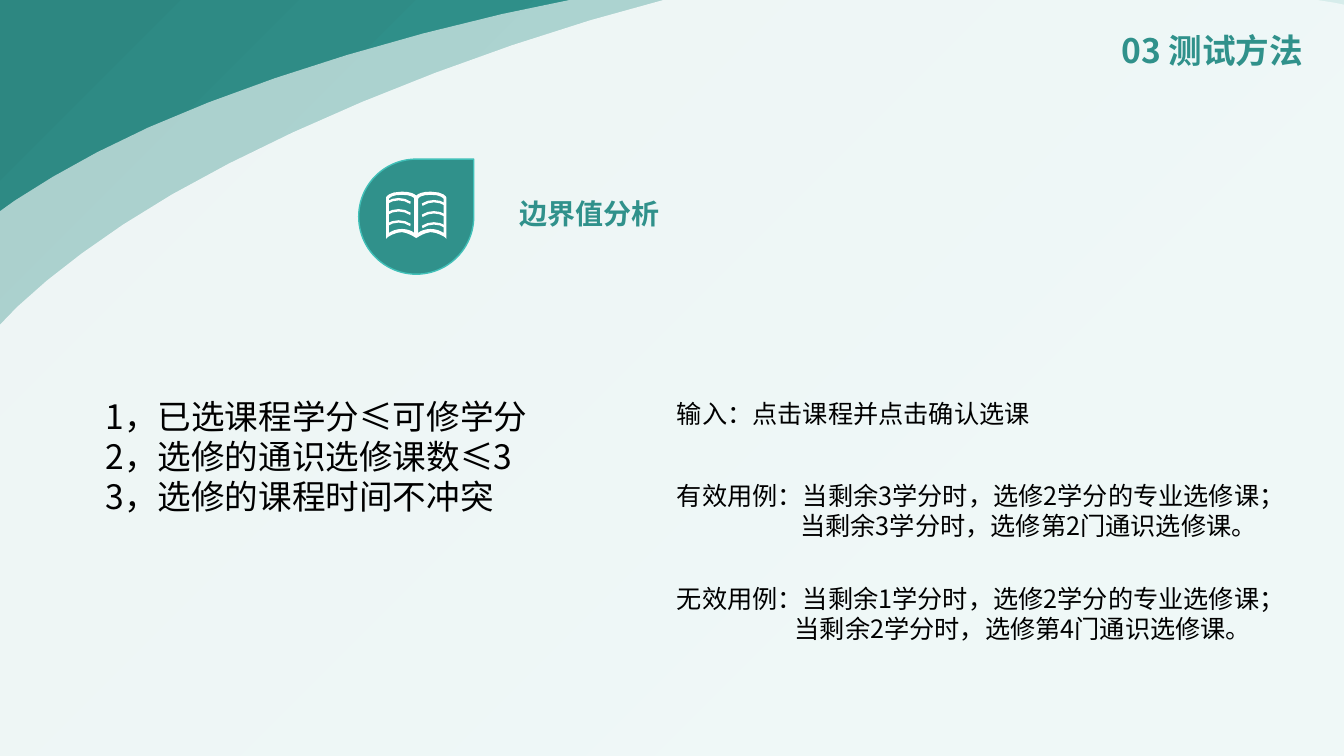
"""Build the boundary value analysis slide of a test methods deck."""
from dataclasses import dataclass
from typing import NamedTuple

from lxml import etree
from pptx import Presentation
from pptx import util as u
from pptx.dml.color import RGBColor
from pptx.enum import shapes, text
from pptx.oxml.ns import qn
from pptx.shapes.base import BaseShape
from pptx.slide import Slide

FONT = "Noto Sans CJK SC"
LINE_PITCH = 1.19
WIDTH, HEIGHT = 33.87, 19.05
WAVE_STEPS, ICON_STEPS = 10, 4
COLORS = {
    "teal": "30918B",
    "bright": "41C0B8",
    "light": "39ACA5",
    "deep": "2D8781",
    "white": "FFFFFF",
    "black": "000000",
}
GRADIENT = [(0, "light"), (23, "light"), (69, "teal"), (97, "deep")]

Point = tuple[float, float]


class Curve(NamedTuple):
    start: Point
    segments: list[tuple[Point, ...]]


class Wave(NamedTuple):
    curve: Curve
    opacity: int


class Line(NamedTuple):
    words: str
    indent: float = 0


@dataclass
class TextBlock:
    left: float
    top: float
    width: float
    height: float
    size: int
    lines: list[Line]
    color: str = "black"
    bold: bool = False
    align: text.PP_ALIGN = text.PP_ALIGN.LEFT


WAVES = [
    Wave(Curve((-3.43, 9.88), [
        ((-2.59, 7.54), (-1.55, 5.94), (2.44, 3.84)),
        ((6.4, 1.75), (14.33, -0.51), (20.65, -0.81)),
        ((27, -1.12), (36.47, -0.03), (40.44, 2.08)),
        ((44.42, 4.17), (48.95, 10.57), (46.18, 13.87)),
        ((43.38, 17.2), (28.78, 23.65), (20.65, 24.31)),
        ((12.52, 24.97), (1.32, 19.94), (-2.64, 17.83)),
        ((-6.63, 15.75), (-4.27, 12.22), (-3.43, 9.88)),
    ]), 60),
    Wave(Curve((-2.11, 12.27), [
        ((-1.52, 9.86), (-0.64, 8.15), (3.1, 5.66)),
        ((6.83, 3.18), (14.48, 0.1), (20.75, -0.84)),
        ((27.03, -1.78), (36.55, -1.68), (40.72, 0)),
        ((44.88, 1.68), (50.06, 7.57), (47.63, 11.15)),
        ((45.21, 14.73), (31.34, 22.63), (23.32, 24.13)),
        ((15.29, 25.63), (3.63, 21.77), (-0.53, 20.12)),
        ((-4.7, 18.44), (-2.72, 14.68), (-2.11, 12.27)),
    ]), 80),
]
HALF_COVER = Curve((0, 0.1), [
    ((-0.05, 0.05), (-0.15, 0), (-0.36, 0)),
    ((-0.69, 0), (-0.76, 0.13), (-0.76, 0.15)),
    ((-0.76, 1.19),),
    ((-0.71, 1.14),),
    ((-0.71, 1.14), (-0.53, 1.02), (-0.36, 1.02)),
    ((-0.2, 1.04), (-0.08, 1.12), (0, 1.17)),
])
PAGE = Curve((-0.05, 1.04), [
    ((-0.1, 0.99), (-0.23, 0.94), (-0.36, 0.94)),
    ((-0.51, 0.94), (-0.61, 0.99), (-0.69, 1.04)),
    ((-0.69, 0.18),),
    ((-0.66, 0.15), (-0.61, 0.08), (-0.36, 0.08)),
    ((-0.13, 0.08), (-0.05, 0.15), (-0.05, 0.18)),
])
PAGE_LINE = Curve((0.62, 0.1), [
    ((0.45, -0.02), (0.18, -0.02), (0.01, 0.1)),
    ((0.03, 0.16),),
    ((0.2, 0.04), (0.43, 0.04), (0.61, 0.16)),
])
TEXT_BLOCKS = [
    TextBlock(18.36, 0.63, 14.73, 2, 24, [Line("03 测试方法")], "teal", True, text.PP_ALIGN.RIGHT),
    TextBlock(12.85, 4.83, 5.08, 1.12, 20, [Line("边界值分析")], "teal", True),
    TextBlock(2.41, 9.86, 12.6, 3.33, 24, [
        Line("1，已选课程学分≤可修学分"),
        Line("2，选修的通识选修课数≤3"),
        Line("3，选修的课程时间不冲突"),
    ]),
    TextBlock(16.81, 9.91, 10.16, 1.02, 18, [Line("输入：点击课程并点击确认选课")]),
    TextBlock(16.81, 11.99, 16.66, 1.8, 18, [
        Line("有效用例：当剩余3学分时，选修2学分的专业选修课；"),
        Line("当剩余3学分时，选修第2门通识选修课。", 3.11),
    ]),
    TextBlock(16.81, 14.58, 16.66, 1.8, 18, [
        Line("无效用例：当剩余1学分时，选修2学分的专业选修课；"),
        Line("当剩余2学分时，选修第4门通识选修课。", 2.97),
    ]),
]


def rgb(name: str) -> RGBColor:
    return RGBColor.from_string(COLORS[name])


def flatten(curve: Curve, steps: int) -> list[Point]:
    points = [curve.start]
    for segment in curve.segments:
        if len(segment) == 1:
            points.append(segment[0])
            continue
        controls = (points[-1], *segment)
        for step in range(1, steps + 1):
            t = step / steps
            weights = ((1 - t) ** 3, 3 * t * (1 - t) ** 2, 3 * t * t * (1 - t), t ** 3)
            x, y = (sum(w * c[axis] for w, c in zip(weights, controls)) for axis in (0, 1))
            points.append((x, y))
    return points


def mirror(points: list[Point]) -> list[Point]:
    return [(-x, y) for x, y in reversed(points)]


def draw_outline(slide: Slide, contours: list[list[Point]], left: float = 0, top: float = 0,
                 opacity: int = 100) -> None:
    placed = [[((x + left) * 1000, (y + top) * 1000) for x, y in contour] for contour in contours]
    builder = slide.shapes.build_freeform(*placed[0][0], scale=u.Cm(0.001))
    for index, contour in enumerate(placed):
        if index:
            builder.move_to(*contour[0])
        builder.add_line_segments(contour[1:], close=True)
    shape = builder.convert_to_shape()
    paint(shape, "white")
    if opacity < 100:
        color = shape._element.spPr.find(qn("a:solidFill"))[0]
        etree.SubElement(color, qn("a:alpha"), val=str(opacity * 1000))


def paint(shape: BaseShape, fill: str) -> None:
    shape.shadow.inherit = False
    shape.fill.solid()
    shape.fill.fore_color.rgb = rgb(fill)
    shape.line.fill.background()


def draw_background(slide: Slide) -> None:
    shape = slide.shapes.add_shape(
        shapes.MSO_SHAPE.RECTANGLE, 0, 0, u.Cm(WIDTH), u.Cm(HEIGHT))
    paint(shape, "teal")
    shape.fill.gradient()
    shape.fill.gradient_angle = 135
    stops = shape._element.spPr.find(qn("a:gradFill")).find(qn("a:gsLst"))
    for stop in list(stops):
        stops.remove(stop)
    for position, name in GRADIENT:
        stop = etree.SubElement(stops, qn("a:gs"), pos=str(position * 1000))
        etree.SubElement(stop, qn("a:srgbClr"), val=COLORS[name])
    for wave in WAVES:
        draw_outline(slide, [flatten(wave.curve, WAVE_STEPS)], opacity=wave.opacity)


def draw_book_badge(slide: Slide) -> None:
    badge = slide.shapes.add_shape(
        shapes.MSO_SHAPE.TEAR, u.Cm(9.04), u.Cm(4.01), u.Cm(2.9), u.Cm(2.9))
    paint(badge, "teal")
    badge.line.color.rgb = rgb("bright")
    badge.line.width = u.Pt(1)
    half, page = flatten(HALF_COVER, ICON_STEPS), flatten(PAGE, ICON_STEPS)
    draw_outline(slide, [half + mirror(half), page, mirror(page)], 10.49, 4.83)
    for left, top in ((9.73, 4.98), (10.62, 5.03)):
        for row in range(3):
            draw_outline(slide, [flatten(PAGE_LINE, ICON_STEPS)], left, top + row * 0.28)


def draw_text(slide: Slide, block: TextBlock) -> None:
    box = slide.shapes.add_textbox(*map(u.Cm, (block.left, block.top, block.width, block.height)))
    frame = box.text_frame
    frame.word_wrap = True
    for index, line in enumerate(block.lines):
        paragraph = frame.add_paragraph() if index else frame.paragraphs[0]
        paragraph.alignment = block.align
        paragraph.line_spacing = u.Pt(block.size * LINE_PITCH)
        if line.indent:
            paragraph._p.get_or_add_pPr().set("marL", str(u.Cm(line.indent)))
        run = paragraph.add_run()
        run.text = line.words
        font = run.font
        font.name, font.size, font.bold = FONT, u.Pt(block.size), block.bold
        font.color.rgb = rgb(block.color)
        etree.SubElement(run._r.get_or_add_rPr(), qn("a:ea"), typeface=FONT)


def main() -> None:
    presentation = Presentation()
    presentation.slide_width, presentation.slide_height = u.Cm(WIDTH), u.Cm(HEIGHT)
    slide = presentation.slides.add_slide(presentation.slide_layouts[6])
    draw_background(slide)
    draw_book_badge(slide)
    for block in TEXT_BLOCKS:
        draw_text(slide, block)
    presentation.save("out.pptx")


if __name__ == "__main__":
    main()
